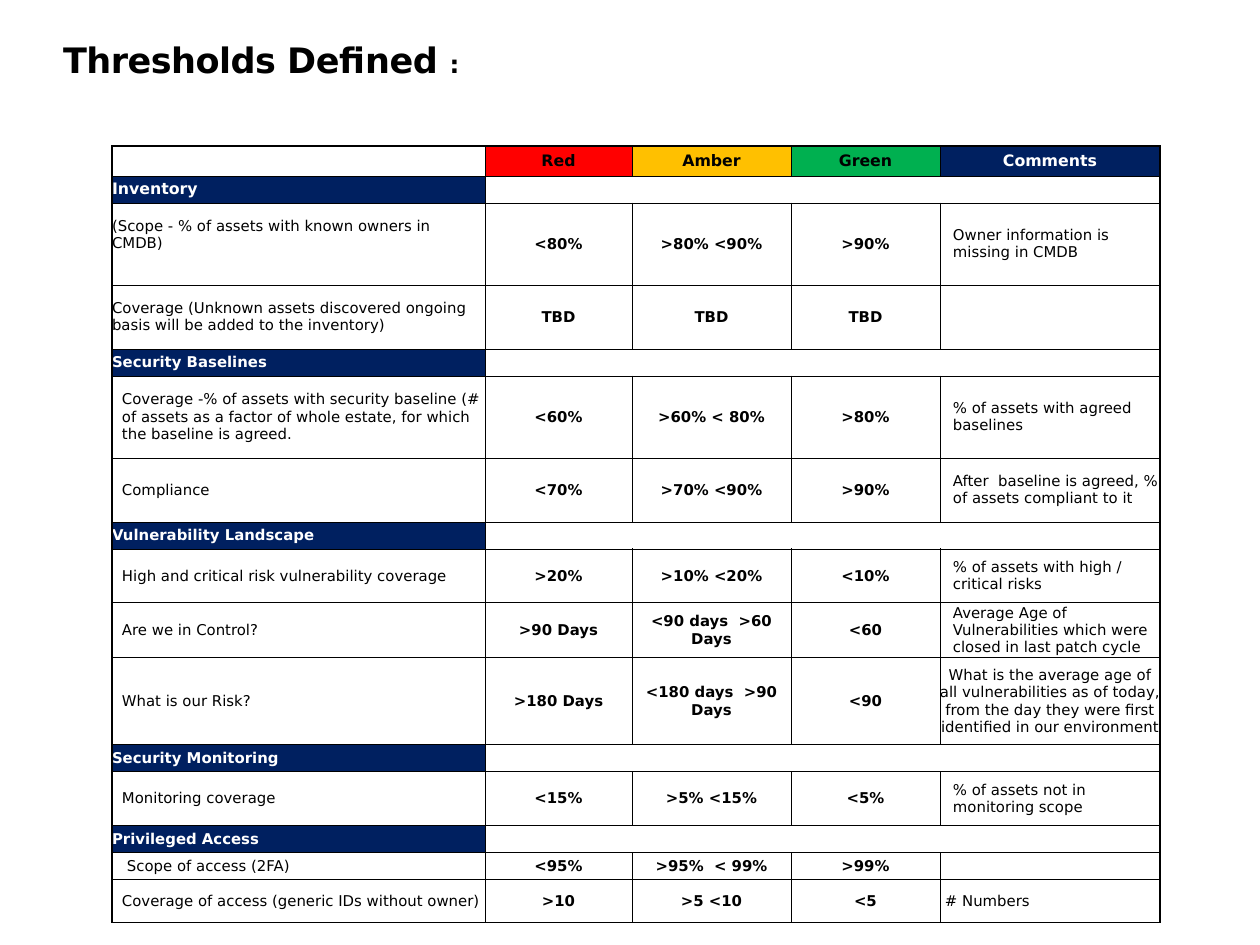
from lxml.etree import SubElement
from pptx import Presentation
from pptx.dml.color import RGBColor
from pptx.enum.text import MSO_ANCHOR as Anchor, MSO_AUTO_SIZE as AutoSize, PP_ALIGN as Align
from pptx.oxml.ns import qn
from pptx.util import Pt

BLACK = RGBColor(0, 0, 0)
WHITE = RGBColor(255, 255, 255)
RED = RGBColor(255, 0, 0)
AMBER = RGBColor(255, 192, 0)
GREEN = RGBColor(0, 176, 80)
NAVY = RGBColor(0, 32, 96)

EMU_PER_PX = 914400 / 126
COLUMN_WIDTHS = [373, 147, 159, 149, 220]
HEADER_HEIGHT = 30
SECTION_HEIGHT = 27
HEADERS = [("Red", RED, BLACK), ("Amber", AMBER, BLACK), ("Green", GREEN, BLACK),
           ("Comments", NAVY, WHITE)]
METRIC_INDENT = 10
COMMENT_INDENT = 13

SECTIONS = [
    ("Inventory", 9, 0, [
        (82, "(Scope - % of assets with known owners in CMDB)",
         "<80%", ">80% <90%", ">90%", "Owner information is missing in CMDB"),
        (64, "Coverage (Unknown assets discovered ongoing basis will be added to the inventory)",
         "TBD", "TBD", "TBD", ""),
    ]),
    ("Security Baselines", 8.5, METRIC_INDENT, [
        (82, "Coverage -% of assets with security baseline (# of assets as a factor of whole "
             "estate, for which the baseline is agreed.",
         "<60%", ">60% < 80%", ">80%", "% of assets with agreed baselines"),
        (64, "Compliance", "<70%", ">70% <90%", ">90%",
         "After  baseline is agreed, % of assets compliant to it"),
    ]),
    ("Vulnerability Landscape", 8.5, METRIC_INDENT, [
        (54, "High and critical risk vulnerability coverage",
         ">20%", ">10% <20%", "<10%", "% of assets with high / critical risks"),
        (55, "Are we in Control?", ">90 Days", "<90 days  >60 Days", "<60",
         "Average Age of Vulnerabilities which were closed in last patch cycle"),
        (87, "What is our Risk?", ">180 Days", "<180 days  >90 Days", "<90",
         "What is the average age of all vulnerabilities as of today, from the day they "
         "were first identified in our environment"),
    ]),
    ("Security Monitoring", 8.5, METRIC_INDENT, [
        (54, "Monitoring coverage", "<15%", ">5% <15%", "<5%",
         "% of assets not in monitoring scope"),
    ]),
    ("Privileged Access", 8.5, METRIC_INDENT, [
        (27, "Scope of access (2FA)", "<95%", ">95%  < 99%", ">99%", ""),
        (43, "Coverage of access (generic IDs without owner)", ">10", ">5 <10", "<5",
         "# Numbers"),
    ]),
]


def px(length):
    return round(length * EMU_PER_PX)


class SlideBuilder:
    font_name = "DejaVu Sans"
    thin, thick = Pt(0.5), Pt(1)

    def __init__(self, slide):
        self.slide = slide

    def style(self, font, size, color=BLACK, bold=False):
        font.name = self.font_name
        font.size = Pt(size)
        font.bold = bold
        font.color.rgb = color

    def title(self, left, top, width, height, parts):
        shape = self.slide.shapes.title
        shape.left, shape.top, shape.width, shape.height = map(px, (left, top, width, height))
        frame = shape.text_frame
        frame.margin_left = frame.margin_top = frame.margin_right = frame.margin_bottom = 0
        frame.vertical_anchor = Anchor.TOP
        frame.auto_size = AutoSize.NONE
        paragraph = frame.paragraphs[0]
        paragraph.alignment = Align.LEFT
        for text, size in parts:
            run = paragraph.add_run()
            run.text = text
            self.style(run.font, size, bold=True)
            run.font._element.set("spc", "-30")

    def table(self, left, top, widths, heights):
        frame = self.slide.shapes.add_table(
            len(heights), len(widths), px(left), px(top), px(sum(widths)), px(sum(heights)))
        table = frame.table
        table.first_row = table.horz_banding = False
        for column, width in zip(table.columns, widths):
            column.width = px(width)
        for row, height in zip(table.rows, heights):
            row.height = px(height)
        return table

    def cell(self, cell, text="", size=8.5, color=BLACK, bold=False, fill=None,
             align=Align.LEFT, indent=0):
        cell.margin_top = cell.margin_right = cell.margin_bottom = 0
        cell.margin_left = px(indent)
        cell.vertical_anchor = Anchor.MIDDLE
        if fill is None:
            cell.fill.background()
        else:
            cell.fill.solid()
            cell.fill.fore_color.rgb = fill
        paragraph = cell.text_frame.paragraphs[0]
        paragraph.alignment = align
        self.style(paragraph.font, size, color, bold)
        if text:
            paragraph.add_run().text = text
        else:
            SubElement(paragraph._p, qn("a:endParaRPr"), sz=str(int(size * 100)))

    def borders(self, table):
        last_row, last_column = len(table.rows) - 1, len(table.columns) - 1
        for row in range(last_row + 1):
            for column in range(last_column + 1):
                cell = table.cell(row, column)
                outer = {"L": column == 0,
                         "R": column == last_column or cell.is_merge_origin,
                         "T": row == 0, "B": row == last_row}
                properties = cell._tc.get_or_add_tcPr()
                for side, is_outer in outer.items():
                    width = self.thick if is_outer else self.thin
                    line = SubElement(properties, qn(f"a:ln{side}"), w=str(width))
                    solid = SubElement(line, qn("a:solidFill"))
                    SubElement(solid, qn("a:srgbClr"), val=str(BLACK))


def main():
    presentation = Presentation()
    presentation.slide_width, presentation.slide_height = px(1260), px(945)
    slide = presentation.slides.add_slide(presentation.slide_layouts[5])
    builder = SlideBuilder(slide)
    builder.title(63, 38, 1008, 101, [("Thresholds Defined ", 20), (":", 14)])

    heights = [HEADER_HEIGHT]
    for _, _, _, metrics in SECTIONS:
        heights += [SECTION_HEIGHT] + [metric[0] for metric in metrics]
    table = builder.table(112, 146, COLUMN_WIDTHS, heights)

    section_row = 1
    for _, _, _, metrics in SECTIONS:
        table.cell(section_row, 1).merge(table.cell(section_row, 4))
        section_row += len(metrics) + 1
    builder.borders(table)

    builder.cell(table.cell(0, 0))
    for column, (text, fill, color) in enumerate(HEADERS, 1):
        builder.cell(table.cell(0, column), text, 9, color, True, fill, Align.CENTER)

    row = 1
    for name, size, indent, metrics in SECTIONS:
        builder.cell(table.cell(row, 0), name, size, WHITE, True, NAVY)
        for column in range(1, 5):
            builder.cell(table.cell(row, column))
        for row, (_, metric, *limits, comment) in enumerate(metrics, row + 1):
            builder.cell(table.cell(row, 0), metric, indent=indent)
            for column, limit in enumerate(limits, 1):
                builder.cell(table.cell(row, column), limit, bold=True, align=Align.CENTER)
            builder.cell(table.cell(row, 4), comment, indent=COMMENT_INDENT)
        row += 1

    table.cell(2, 0).margin_bottom = px(18)
    risk_comment = table.cell(10, 4)
    risk_comment.margin_left = 0
    risk_comment.text_frame.paragraphs[0].alignment = Align.CENTER
    table.cell(14, 0).margin_left = px(15)
    table.cell(15, 4).margin_left = px(5)

    presentation.save("out.pptx")


if __name__ == "__main__":
    main()
